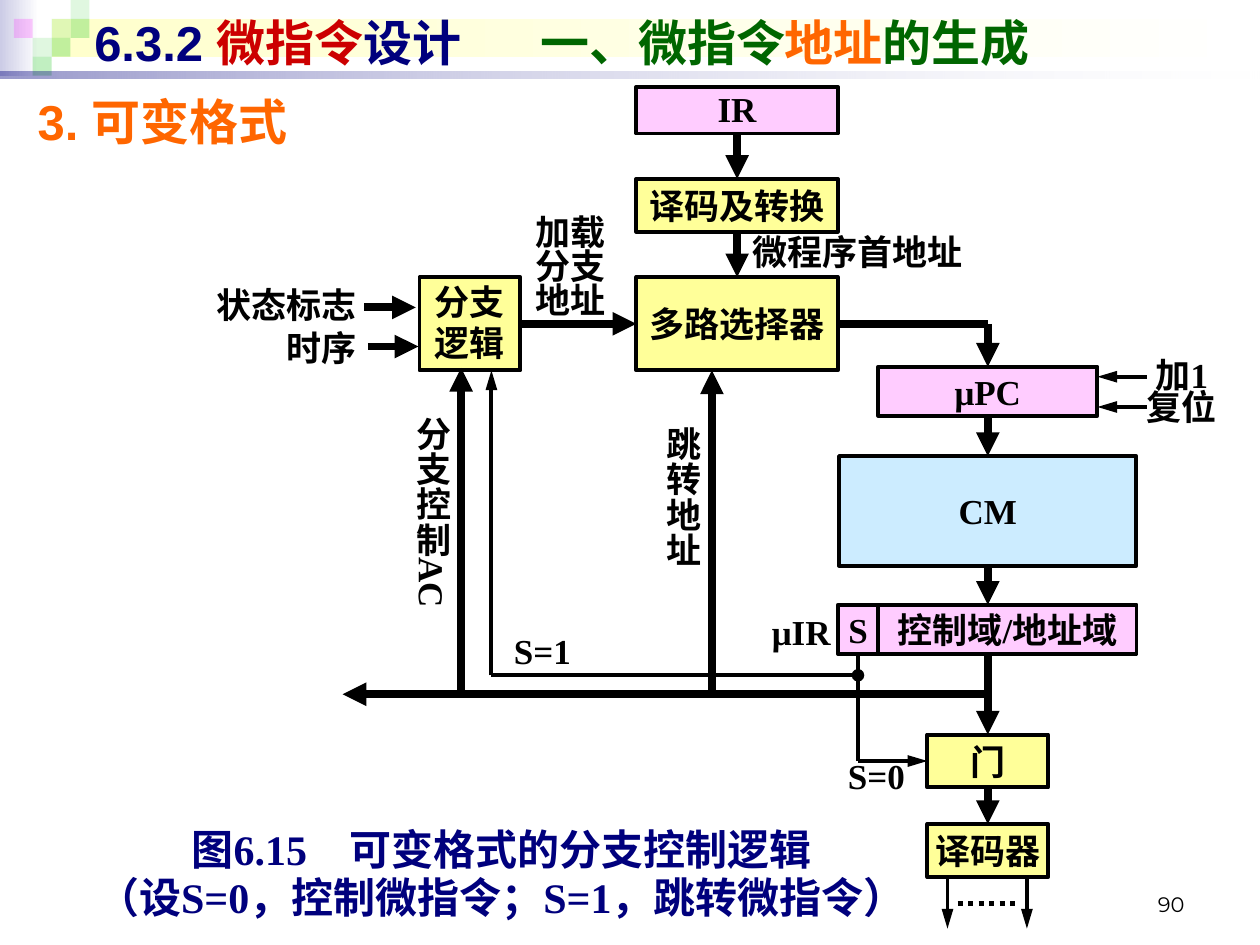
from lxml import etree
from pptx import Presentation
from pptx import util as u
from pptx.dml.color import RGBColor
from pptx.enum import dml, shapes, text
from pptx.oxml.ns import qn

PX = 9144  # EMU per px, 100 px to the inch
BLACK = RGBColor(0, 0, 0)
WHITE = RGBColor(0xFF, 0xFF, 0xFF)
NAVY = RGBColor(0, 0, 0x7D)
RED = RGBColor(0xCC, 0, 0)
DARK_GREEN = RGBColor(0, 0x66, 0)
ORANGE = RGBColor(0xFF, 0x66, 0)
LAVENDER = RGBColor(0xCC, 0xCC, 0xE6)
CREAM = RGBColor(0xFF, 0xFF, 0xCC)
GREEN = RGBColor(0x33, 0xCC, 0x33)
MAGENTA = RGBColor(0xFF, 0, 0xFF)
YELLOW = RGBColor(0xFF, 0xFF, 0x99)
PINK = RGBColor(0xFF, 0xCC, 0xFF)
SKY = RGBColor(0xCC, 0xEC, 0xFF)

LEFT, CENTER, RIGHT = text.PP_ALIGN.LEFT, text.PP_ALIGN.CENTER, text.PP_ALIGN.RIGHT
TOP, LEFT_SIDE, BOTTOM, RIGHT_SIDE = range(4)
THIN, THICK = 2.25, 4.5


def px(*lengths):
    return [u.Emu(length * PX) for length in lengths]


def set_alpha(color_element, percent):
    alpha = etree.SubElement(color_element, qn("a:alpha"))
    alpha.set("val", str(percent * 1000))


class Diagram:
    font, size = "Times New Roman", 20

    def __init__(self, slide):
        self.slide = slide

    def fill_text(self, frame, runs, align=CENTER, size=None, font=None, bold=True,
                  spacing=None, wrap=False, insets=(0, 0), anchor=text.MSO_ANCHOR.MIDDLE,
                  tab=None):
        """Fill a text frame with one paragraph of (wording, colour) runs."""
        frame.word_wrap = wrap
        frame.vertical_anchor = anchor
        frame.margin_left = frame.margin_right = u.Emu(insets[0] * PX)
        frame.margin_top = frame.margin_bottom = u.Emu(insets[1] * PX)
        paragraph = frame.paragraphs[0]
        paragraph.alignment = align
        if spacing:
            paragraph.line_spacing = spacing
        if tab:
            tabs = etree.SubElement(paragraph._p.get_or_add_pPr(), qn("a:tabLst"))
            etree.SubElement(tabs, qn("a:tab"), pos=str(tab * PX), algn="l")
        for wording, color in runs:
            for number, line in enumerate(wording.split("\n")):
                if number:
                    paragraph.add_line_break()
                run = paragraph.add_run()
                run.text = line
                run.font.name = font or self.font
                run.font.size = u.Pt(size or self.size)
                run.font.bold = bold
                run.font.color.rgb = color

    def shape(self, area, fill, kind=shapes.MSO_SHAPE.RECTANGLE, alpha=None):
        item = self.slide.shapes.add_shape(kind, *px(*area))
        item.shadow.inherit = False
        item.line.fill.background()
        item.fill.solid()
        item.fill.fore_color.rgb = fill
        if alpha is not None:
            set_alpha(item._element.spPr.find(".//" + qn("a:srgbClr")), alpha)
        return item

    def fade(self, area, colors, alphas=(100, 100)):
        band = self.shape(area, WHITE)
        band.fill.gradient()
        band.fill.gradient_angle = 0
        for stop, color in zip(band.fill.gradient_stops, colors):
            stop.color.rgb = color
        for element, alpha in zip(band._element.spPr.iter(qn("a:srgbClr")), alphas):
            set_alpha(element, alpha)

    def box(self, area, fill, wording, **style):
        item = self.shape(area, fill)
        item.line.color.rgb = BLACK
        item.line.width = u.Pt(THIN)
        self.fill_text(item.text_frame, [(wording, BLACK)], **{"insets": (0, 5), **style})
        return item

    def label(self, area, wording, color=BLACK, vertical=False, **style):
        runs = [(wording, color)] if isinstance(wording, str) else wording
        frame = self.slide.shapes.add_textbox(*px(*area)).text_frame
        self.fill_text(frame, runs, **{"spacing": 0.96, **style})
        if vertical:
            frame._txBody.bodyPr.set("vert", "eaVert")

    def line(self, start, end, weight=THICK, arrow=True, dash=None):
        """Draw between ends that are (x, y) points or (shape, side) pairs."""
        points = [(0, 0) if hasattr(site[0], "shape_id") else site for site in (start, end)]
        wire = self.slide.shapes.add_connector(
            shapes.MSO_CONNECTOR.STRAIGHT, *px(*points[0], *points[1]))
        for site, join in ((start, wire.begin_connect), (end, wire.end_connect)):
            if hasattr(site[0], "shape_id"):
                join(*site)
        wire.line.color.rgb = BLACK
        wire.line.width = u.Pt(weight)
        if dash:
            wire.line.dash_style = dash
        if arrow:
            etree.SubElement(wire.line._get_or_add_ln(), qn("a:tailEnd"), type="triangle",
                             w="med", len="lg" if weight == THIN else "med")
        etree.SubElement(wire._element.spPr, qn("a:effectLst"))


def draw_header(d):
    d.fade((0, 0, 31, 60), (LAVENDER, WHITE))
    d.fade((41, 15, 955, 30), (CREAM, WHITE))
    for x, y, color, alpha in ((41, 15, GREEN, 15), (56, 0, GREEN, 15), (56, 15, GREEN, 30),
                               (26, 30, GREEN, 15), (11, 15, MAGENTA, 20),
                               (41, 30, GREEN, 30), (26, 45, GREEN, 30)):
        d.shape((x, y, 15, 15), color, alpha=alpha)
    d.fade((0, 57, 1000, 5), (NAVY, WHITE), (40, 10))
    heading = dict(align=LEFT, size=28, font="Arial", wrap=True, insets=(10, 5), spacing=None)
    d.label((65, 5, 923, 57),
            [("6.3.2 ", NAVY), ("微指令", RED), ("设计\t", NAVY), ("一、微指令", DARK_GREEN),
             ("地址", ORANGE), ("的生成", DARK_GREEN)], tab=354, **heading)
    d.label((20, 68, 480, 63), "3. 可变格式", ORANGE, anchor=text.MSO_ANCHOR.TOP, **heading)
    d.label((717, 683, 233, 50), "90", align=RIGHT, size=12, font="Montserrat", bold=False,
            wrap=True, insets=(10, 5), anchor=text.MSO_ANCHOR.BOTTOM)


def draw_flow(d):
    caption = d.shape((83, 651, 630, 87), WHITE)
    d.fill_text(caption.text_frame,
                [("图6.15　可变格式的分支控制逻辑\n（设S=0，控制微指令；S=1，跳转微指令）", NAVY)],
                size=24, spacing=0.96)

    ir = d.box((505, 69, 160, 37), PINK, "IR", insets=(10, 0), spacing=0.96)
    converter = d.box((505, 142, 160, 42), YELLOW, "译码及转换")
    selector = d.box((505, 220, 160, 74), YELLOW, "多路选择器")
    branch = d.box((333, 220, 80, 74), YELLOW, "分支逻辑", wrap=True,
                   insets=(10, 5), spacing=0.96)
    upc = d.box((697, 291, 174, 39), PINK, "μPC")
    memory = d.box((666, 362, 236, 87), SKY, "CM")
    d.box((697, 480, 205, 39), PINK, "控制域/地址域")
    s_bit = d.box((665, 480, 32, 39), PINK, "S")
    gate = d.box((736, 583, 96, 42), YELLOW, "门")
    decoder = d.box((736, 654, 96, 42), YELLOW, "译码器")

    for upper, lower in ((ir, converter), (converter, selector), (upc, memory),
                         (gate, decoder)):
        d.line((upper, BOTTOM), (lower, TOP))
    d.line((branch, RIGHT_SIDE), (selector, LEFT_SIDE))
    d.line((selector, RIGHT_SIDE), (784, 257), arrow=False)
    d.line((784, 257), (upc, TOP))
    d.line((memory, BOTTOM), (784, 480))
    d.line((784, 519), (gate, TOP))
    d.line((784, 551), (272, 551))
    d.line((366, 551), (366, 292))
    d.line((565, 551), (565, 294))
    d.line((289, 244), (330, 244))
    d.line((292, 275), (332, 275))

    d.line((s_bit, BOTTOM), (681, 604), THIN, arrow=False)
    d.line((681, 604), (gate, LEFT_SIDE), THIN)
    d.line((681, 536), (390, 536), THIN, arrow=False)
    d.line((390, 536), (390, 294), THIN)
    d.shape((676, 531, 10, 10), BLACK, shapes.MSO_SHAPE.OVAL)
    for y in (299, 323):
        d.line((910, y), (871, y), THIN)
    for x in (752, 815):
        d.line((x, 696), (x, 737), THIN)
    d.line((760, 717), (810, 717), 3, arrow=False, dash=dml.MSO_LINE.ROUND_DOT)


def draw_labels(d):
    d.label((424, 166, 58, 96), "加载\n分支\n地址", spacing=0.8)
    d.label((597, 184, 207, 35), "微程序首地址", align=LEFT)
    d.label((917, 281, 71, 35), "加1", align=LEFT)
    d.label((910, 307, 71, 35), "复位", align=LEFT)
    d.label((160, 223, 123, 40), "状态标志", align=RIGHT)
    d.label((160, 257, 123, 40), "时序", align=RIGHT)
    d.label((524, 339, 32, 137), "跳转地址", vertical=True)
    d.label((326, 331, 32, 181), "分支控制AC", vertical=True)
    d.label((603, 483, 66, 39), "μIR")
    d.label((385, 504, 91, 28), "S=1")
    d.label((650, 603, 91, 28), "S=0")


def main():
    deck = Presentation()
    deck.slide_width, deck.slide_height = px(1000, 750)
    diagram = Diagram(deck.slides.add_slide(deck.slide_layouts[6]))
    draw_header(diagram)
    draw_flow(diagram)
    draw_labels(diagram)
    deck.save("out.pptx")


if __name__ == "__main__":
    main()
